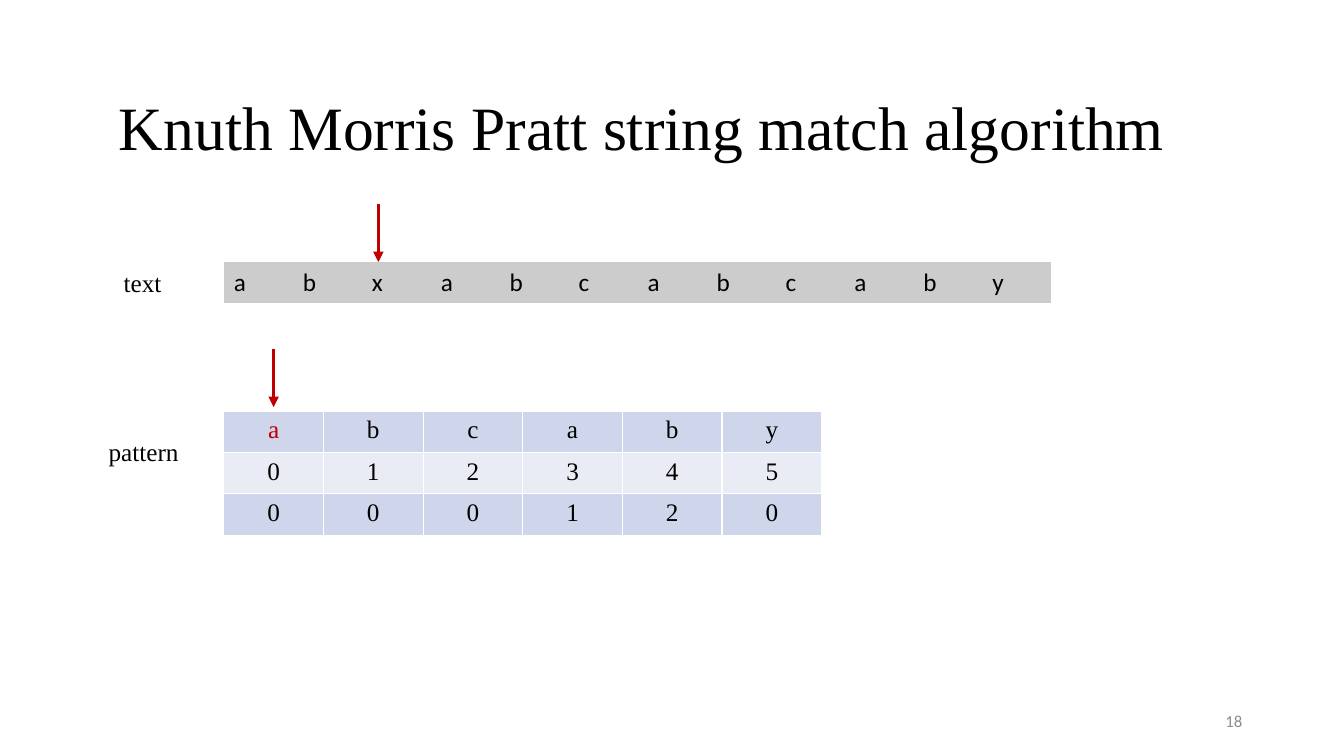
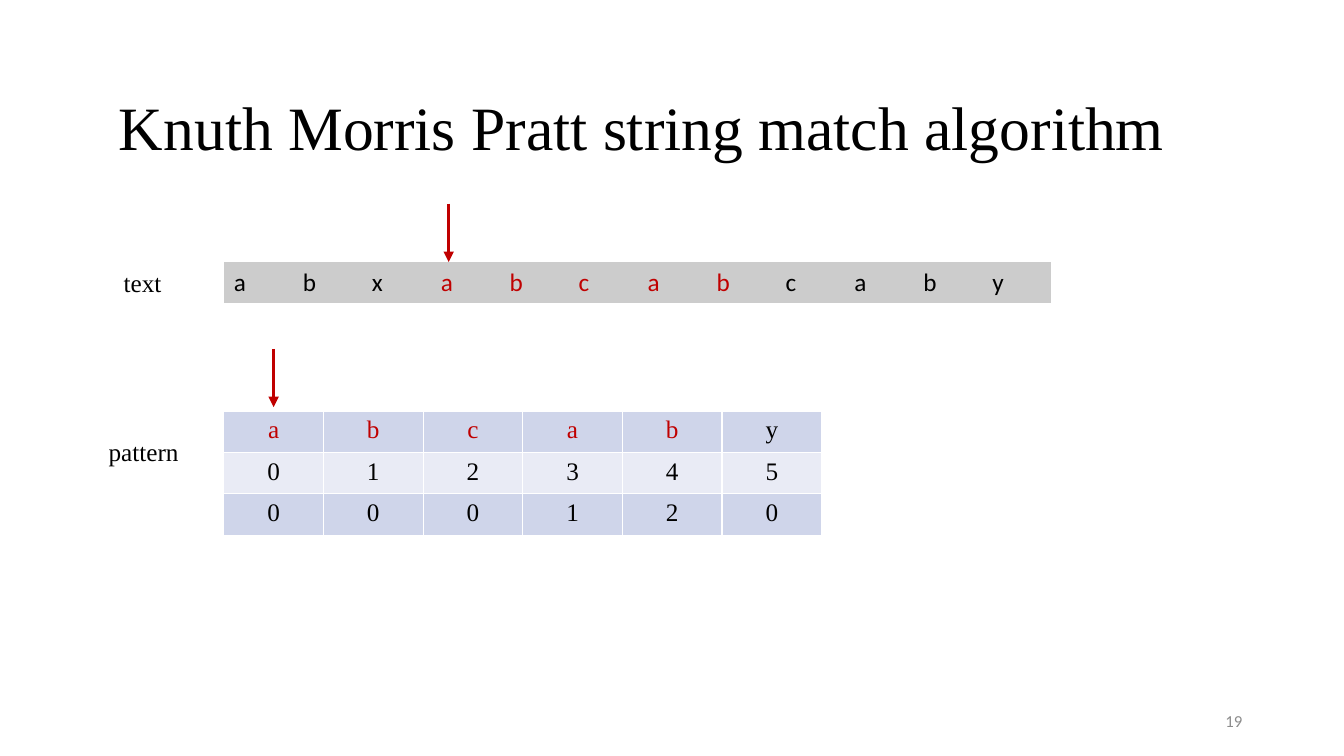
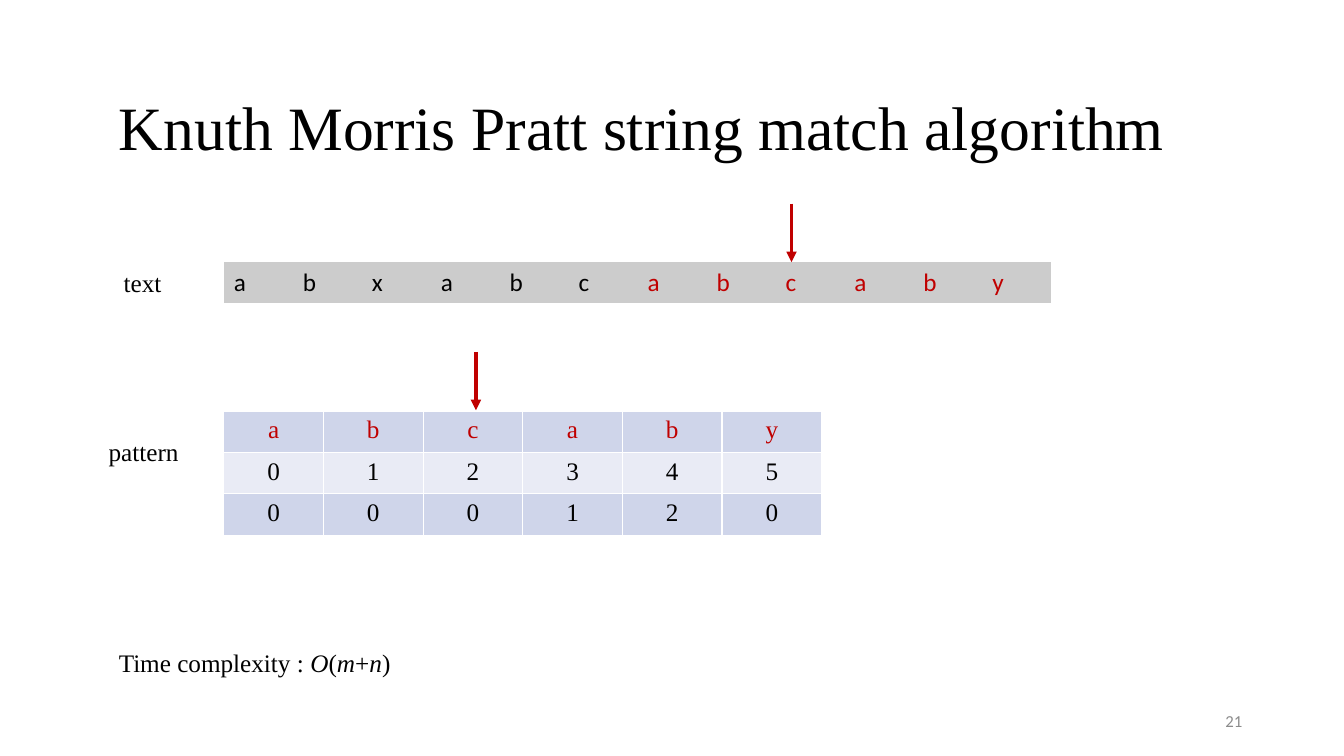
from lxml import etree
from pptx import Presentation
from pptx.dml.color import RGBColor
from pptx.enum.shapes import MSO_CONNECTOR
from pptx.enum.text import MSO_ANCHOR, MSO_AUTO_SIZE, PP_ALIGN
from pptx.oxml.ns import qn
from pptx.util import Inches, Pt

STRAIGHT = MSO_CONNECTOR.STRAIGHT
LEFT, CENTER, RIGHT = PP_ALIGN.LEFT, PP_ALIGN.CENTER, PP_ALIGN.RIGHT
TOP, MIDDLE = MSO_ANCHOR.TOP, MSO_ANCHOR.MIDDLE
NO_AUTOFIT = MSO_AUTO_SIZE.NONE
NO_STYLE = "{2D5ABB26-0587-4C30-8999-92F81FD0307C}"

COLORS = {
    "black": "000000", "white": "FFFFFF", "red": "C00000", "number": "8C8C8C",
    "text_row": "CCCCCC", "dark_band": "CFD5EA", "light_band": "E9EBF5",
}
SERIF, SANS = "Times New Roman", "Calibri"

WIDTH, HEIGHT = 13.33, 7.5
GRID_LEFT, ROW = 2.22, 0.41
TEXT_TOP, PATTERN_TOP = 2.6, 4.08
TEXT_LETTERS = "abxabcabcaby"
PATTERN_ROWS = ["abcaby", "012345", "000120"]
TEXT_COLUMN = 8.21 / len(TEXT_LETTERS)
PATTERN_COLUMN = 5.93 / len(PATTERN_ROWS[0])
ARROW_LENGTH = 0.58

STEPS = [
    {"number": "18", "text_red": range(0), "pattern_red": range(1),
     "text_arrow": 2.24, "pattern_arrow": 0.5, "pattern_arrow_top": 3.46},
    {"number": "19", "text_red": range(3, 8), "pattern_red": range(5),
     "text_arrow": 3.26, "pattern_arrow": 0.5, "pattern_arrow_top": 3.46},
    {"number": "21", "text_red": range(6, 12), "pattern_red": range(6),
     "text_arrow": 8.23, "pattern_arrow": 2.53, "pattern_arrow_top": 3.49,
     "complexity": ["Time complexity : ", "O", "(", "m", "+", "n", ")"]},
]


def write(frame, *texts, size=18, font=SERIF, color="black", align=LEFT,
          anchor=TOP, spacing=1.0):
    frame.word_wrap = True
    frame.vertical_anchor = anchor
    paragraph = frame.paragraphs[0]
    paragraph.alignment = align
    paragraph.line_spacing = spacing
    for index, text in enumerate(texts):
        run = paragraph.add_run()
        run.text = text
        run.font.size = Pt(size)
        run.font.name = font
        run.font.italic = index % 2 == 1
        run.font.color.rgb = RGBColor.from_string(COLORS[color])


def add_arrow(slide, x, top):
    arrow = slide.shapes.add_connector(
        STRAIGHT, Inches(x), Inches(top), Inches(x), Inches(top + ARROW_LENGTH))
    arrow.line.color.rgb = RGBColor.from_string(COLORS["red"])
    arrow.line.width = Pt(2.5)
    etree.SubElement(arrow.line._get_or_add_ln(), qn("a:tailEnd"), type="triangle")
    etree.SubElement(arrow.element.spPr, qn("a:effectLst"))


presentation = Presentation()
presentation.slide_width = Inches(WIDTH)
presentation.slide_height = Inches(HEIGHT)

for step in STEPS:
    slide = presentation.slides.add_slide(presentation.slide_layouts[5])
    title = slide.shapes.title
    title.left, title.top = Inches(1.08), Inches(0.57)
    title.width, title.height = Inches(11.5), Inches(1.45)
    title.text_frame.auto_size = NO_AUTOFIT
    write(title.text_frame, "Knuth Morris Pratt string match algorithm",
          size=44, anchor=MIDDLE, spacing=0.9)

    tables = [
        {"rows": [TEXT_LETTERS], "top": TEXT_TOP, "column": TEXT_COLUMN,
         "bands": ["text_row"], "red": step["text_red"],
         "font": SANS, "align": LEFT, "borders": []},
        {"rows": PATTERN_ROWS, "top": PATTERN_TOP, "column": PATTERN_COLUMN,
         "bands": ["dark_band", "light_band"], "red": step["pattern_red"],
         "font": SERIF, "align": CENTER, "borders": ["lnL", "lnR", "lnT", "lnB"]},
    ]
    for layout in tables:
        rows = layout["rows"]
        frame = slide.shapes.add_table(
            len(rows), len(rows[0]), Inches(GRID_LEFT), Inches(layout["top"]),
            Inches(layout["column"] * len(rows[0])), Inches(ROW * len(rows)))
        for style in frame.element.iter(qn("a:tableStyleId")):
            style.text = NO_STYLE
        table = frame.table
        table.first_row = table.horz_banding = False
        for row, letters in enumerate(rows):
            band = layout["bands"][row % len(layout["bands"])]
            for column, letter in enumerate(letters):
                cell = table.cell(row, column)
                is_red = row == 0 and column in layout["red"]
                write(cell.text_frame, letter, font=layout["font"],
                      align=layout["align"], color="red" if is_red else "black")
                properties = cell._tc.get_or_add_tcPr()
                for side in layout["borders"]:
                    border = etree.SubElement(properties, qn("a:" + side), w=str(Pt(1)))
                    fill = etree.SubElement(border, qn("a:solidFill"))
                    etree.SubElement(fill, qn("a:srgbClr"), val=COLORS["white"])
                cell.fill.solid()
                cell.fill.fore_color.rgb = RGBColor.from_string(COLORS[band])

    boxes = [
        (0.95, TEXT_TOP, 0.93, ["text"], {"align": CENTER}),
        (0.96, 4.28, 0.93, ["pattern"], {"align": CENTER}),
        (9.42, 6.95, 3, [step["number"]],
         {"size": 12, "font": SANS, "color": "number", "align": RIGHT, "anchor": MIDDLE}),
    ]
    if "complexity" in step:
        boxes.append((1.08, 6.37, 3, step["complexity"], {}))
    for left, top, width, texts, style in boxes:
        box = slide.shapes.add_textbox(Inches(left), Inches(top), Inches(width), Inches(0.4))
        write(box.text_frame, *texts, **style)

    add_arrow(slide, GRID_LEFT + step["text_arrow"] * TEXT_COLUMN, TEXT_TOP - ARROW_LENGTH)
    add_arrow(slide, GRID_LEFT + step["pattern_arrow"] * PATTERN_COLUMN,
              step["pattern_arrow_top"])

presentation.save("out.pptx")
